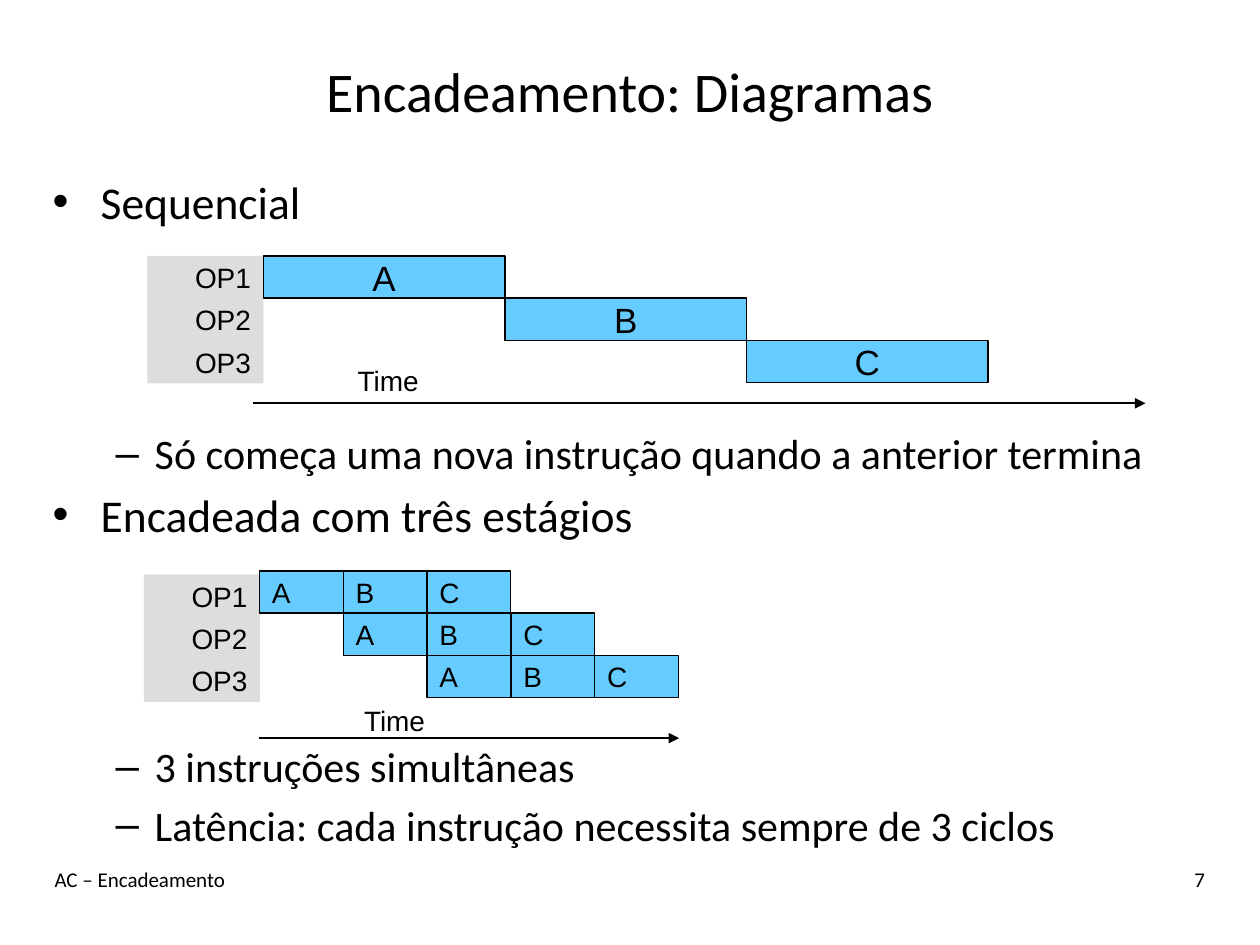
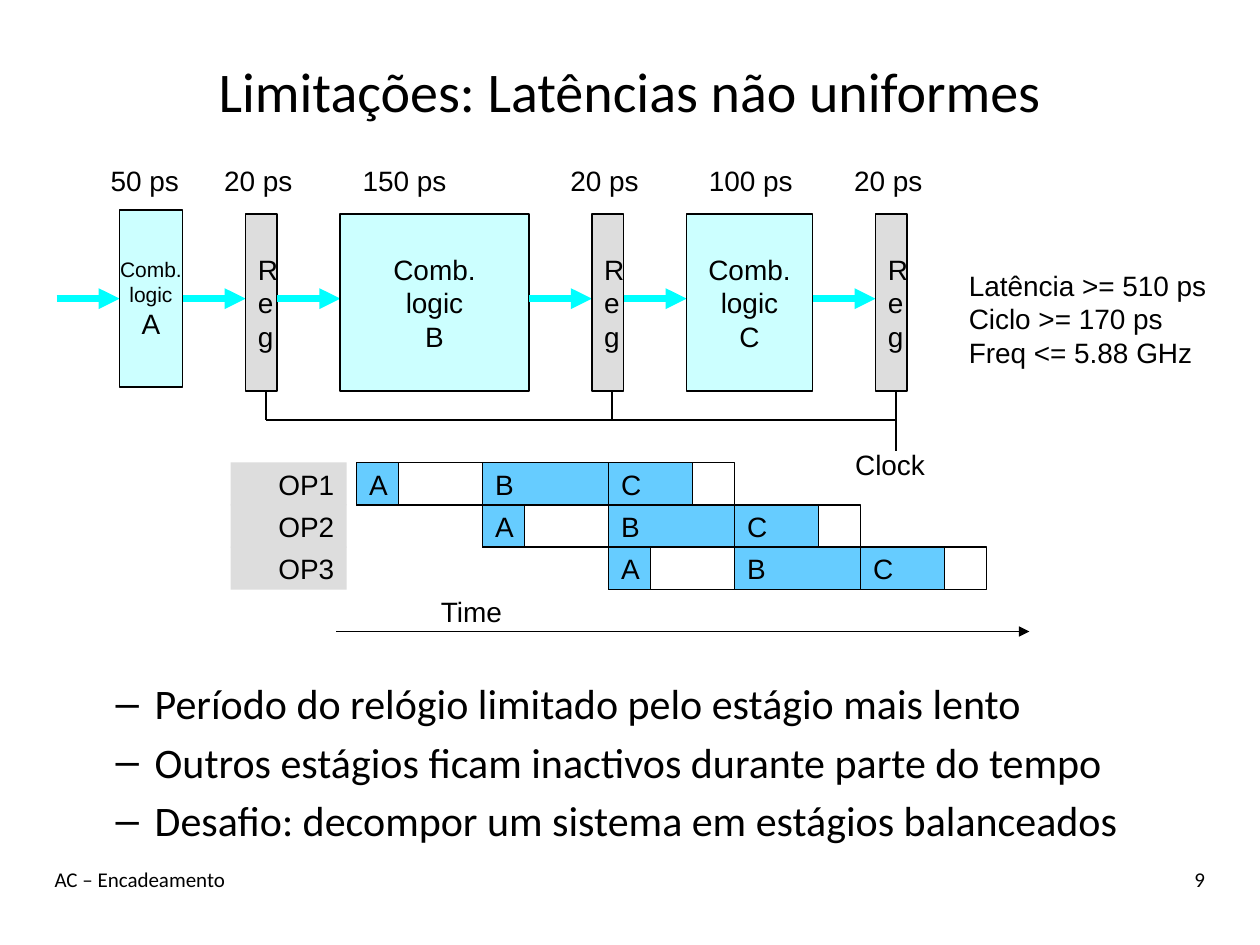
from lxml import etree
from pptx import Presentation
from pptx.dml.color import RGBColor
from pptx.enum.shapes import MSO_CONNECTOR, MSO_SHAPE
from pptx.enum.text import MSO_ANCHOR, PP_ALIGN
from pptx.oxml.ns import qn
from pptx.util import Cm, Pt

RECT = MSO_SHAPE.RECTANGLE
STRAIGHT = MSO_CONNECTOR.STRAIGHT
LEFT, CENTER, RIGHT = PP_ALIGN.LEFT, PP_ALIGN.CENTER, PP_ALIGN.RIGHT
TOP, MIDDLE = MSO_ANCHOR.TOP, MSO_ANCHOR.MIDDLE

COLORS = {
    "black": "000000",
    "stage": "66CCFF",
    "logic": "CCFFFF",
    "gray": "DDDDDD",
    "flow": "00FFFF",
}
ROW = 0.85
LABEL_W, LABEL_H = 2.34, 0.87
STAGES = "ABC"


def add_box(s, x, y, w, h, lines=(), size=16, align=LEFT, fill=None, line=None,
            font="Arial", anchor=MIDDLE, wrap=False):
    area = Cm(x), Cm(y), Cm(w), Cm(h)
    if fill or line:
        sp = s.shapes.add_shape(RECT, *area)
        sp.shadow.inherit = False
        if fill:
            sp.fill.solid()
            sp.fill.fore_color.rgb = RGBColor.from_string(COLORS[fill])
        else:
            sp.fill.background()
        if line:
            sp.line.color.rgb = RGBColor.from_string(COLORS["black"])
            sp.line.width = Pt(line)
        else:
            sp.line.fill.background()
    else:
        sp = s.shapes.add_textbox(*area)
    tf = sp.text_frame
    tf.word_wrap = wrap
    tf.vertical_anchor = anchor
    for i, text in enumerate(lines):
        p = tf.add_paragraph() if i else tf.paragraphs[0]
        p.alignment = align
        r = p.add_run()
        r.text = text
        r.font.name = font
        r.font.size = Pt(size)
        r.font.color.rgb = RGBColor.from_string(COLORS["black"])
    return sp


def add_line(s, x1, y1, x2, y2, color="black", width=1, arrow=False):
    c = s.shapes.add_connector(STRAIGHT, Cm(x1), Cm(y1), Cm(x2), Cm(y2))
    c.line.color.rgb = RGBColor.from_string(COLORS[color])
    c.line.width = Pt(width)
    spPr = c._element.spPr
    if arrow:
        etree.SubElement(spPr.find(qn("a:ln")), qn("a:tailEnd"), type="triangle")
    etree.SubElement(spPr, qn("a:effectLst"))
    return c


prs = Presentation()
prs.slide_width, prs.slide_height = Cm(25.4), Cm(19.05)

LEVELS = [("•", 26, 0.97, -0.97), ("–", 24, 2.06, -0.79)]
PAGES = [
    ("Encadeamento: Diagramas", "7", 3.38, 14.48, [
        (0, "Sequencial", 0),
        (1, "Só começa uma nova instrução quando a anterior termina", 114),
        (0, "Encadeada com três estágios", 4.8),
        (1, "3 instruções simultâneas", 114),
        (1, "Latência: cada instrução necessita sempre de 3 ciclos", 4.5),
    ]),
    ("Limitações: Latências não uniformes", "9", 13.54, 4.32, [
        (1, "Período do relógio limitado pelo estágio mais lento", 0),
        (1, "Outros estágios ficam inactivos durante parte do tempo", 4.5),
        (1, "Desafio: decompor um sistema em estágios balanceados", 4.5),
    ]),
]
slides = []
for title, number, top, height, items in PAGES:
    s = prs.slides.add_slide(prs.slide_layouts[6])
    slides.append(s)
    add_box(s, 0.85, 0.64, 23.7, 2.34, [title], 32, CENTER, font="Calibri", wrap=True)
    add_box(s, 0.85, 17.35, 17.78, 1.27, ["AC – Encadeamento"], 12,
            font="Calibri", anchor=TOP, wrap=True)
    add_box(s, 21.16, 17.35, 3.38, 1.27, [number], 12, RIGHT,
            font="Calibri", anchor=TOP, wrap=True)
    body = add_box(s, 0.81, top, 23.04, height, [text for _, text, _ in items],
                   font="Calibri", anchor=TOP, wrap=True)
    for p, (level, _, before) in zip(body.text_frame.paragraphs, items):
        bullet, size, margin, indent = LEVELS[level]
        p.level = level
        p.space_before = Pt(before)
        p.runs[0].font.size = Pt(size)
        pPr = p._p.get_or_add_pPr()
        pPr.set("marL", str(Cm(margin)))
        pPr.set("indent", str(Cm(indent)))
        etree.SubElement(pPr, qn("a:buFont"), typeface="Arial")
        etree.SubElement(pPr, qn("a:buChar"), char=bullet)

diagrams, limits = slides

TIMELINES = [
    (diagrams, 2.97, 5.16, 6.96, 7.21, 5.11, 8.13, 23.09),
    (diagrams, 2.9, 11.58, 7.09, 14.05, 5.23, 14.88, 13.69),
    (limits, 4.65, 9.32, 8.64, 11.86, 6.78, 12.73, 20.75),
]
for s, x, y, time_x, time_y, start, axis_y, end in TIMELINES:
    add_line(s, start, axis_y, end, axis_y, arrow=True)
    add_box(s, time_x, time_y, 1.75, 0.91, ["Time"], anchor=TOP)
    for row in range(3):
        add_box(s, x, y + row * ROW, LABEL_W, LABEL_H, [f"OP{row + 1}"],
                align=RIGHT, fill="gray")

SEQ_W, PIPE_W, SLOT_W = 4.87, 1.69, 2.54
BUSY_W = [0.85, 2.54, 1.69]
for row, name in enumerate(STAGES):
    add_box(diagrams, 5.31 + row * SEQ_W, 5.16 + row * ROW, SEQ_W, ROW, [name],
            20, CENTER, "stage", 0.75)
    for col, stage in enumerate(STAGES):
        add_box(diagrams, 5.23 + (row + col) * PIPE_W, 11.51 + row * ROW,
                PIPE_W, ROW, [stage], fill="stage", line=0.75)
        x, y = 7.19 + (row + col) * SLOT_W, 9.33 + row * ROW
        add_box(limits, x, y, BUSY_W[col], ROW, [stage], fill="stage", line=0.75)
        if BUSY_W[col] < SLOT_W:
            add_box(limits, x, y, SLOT_W, ROW, line=0.75)

GAP, BLOCK_H, FLOW_Y, CLOCK_Y = 1.27, 3.56, 6.02, 8.46
REG_W, REG_TOP = 0.64, 4.32
PIPELINE = [
    ("A", 1.27, 4.24, "50 ps", -0.43, 2.11),
    ("Reg", REG_W, REG_TOP, "20 ps", -0.68, 1.88),
    ("B", 3.8, REG_TOP, "150 ps", 0.2, 3.25),
    ("Reg", REG_W, REG_TOP, "20 ps", -0.68, 1.88),
    ("C", 2.54, REG_TOP, "100 ps", 0.2, 2.21),
    ("Reg", REG_W, REG_TOP, "20 ps", -0.68, 1.88),
]
x = 1.14
blocks, arrows, stems = [], [], []
for name, w, top, delay, dx, delay_w in PIPELINE:
    arrows.append(add_line(limits, x, FLOW_Y, x + GAP, FLOW_Y, "flow", 4, True))
    x += GAP
    if name == "Reg":
        lines, align, fill = list(name), LEFT, "gray"
        stems.append(x + 0.41)
    else:
        lines, align, fill = ["Comb.", "logic", name], CENTER, "logic"
    blocks.append(add_box(limits, x, top, w, BLOCK_H, lines, 16, align, fill, 1))
    add_box(limits, x + dx, 3.18, delay_w, 0.91, [delay], anchor=TOP)
    x += w
arrows[0].end_connect(blocks[0], 1)
arrows[1].begin_connect(blocks[0], 3)
for p in blocks[0].text_frame.paragraphs[:2]:
    p.runs[0].font.size = Pt(12)

for stem in stems:
    add_line(limits, stem, REG_TOP + BLOCK_H, stem, 9.09 if stem == stems[-1] else CLOCK_Y)
add_line(limits, stems[0], CLOCK_Y, stems[-1], CLOCK_Y)
add_box(limits, 16.99, 8.89, 2.2, 0.91, ["Clock"], anchor=TOP)
add_box(limits, 19.28, 5.28, 5.5, 2.31,
        ["Latência >= 510 ps", "Ciclo >= 170 ps", "Freq <= 5.88 GHz"], anchor=TOP)

prs.save("out.pptx")
